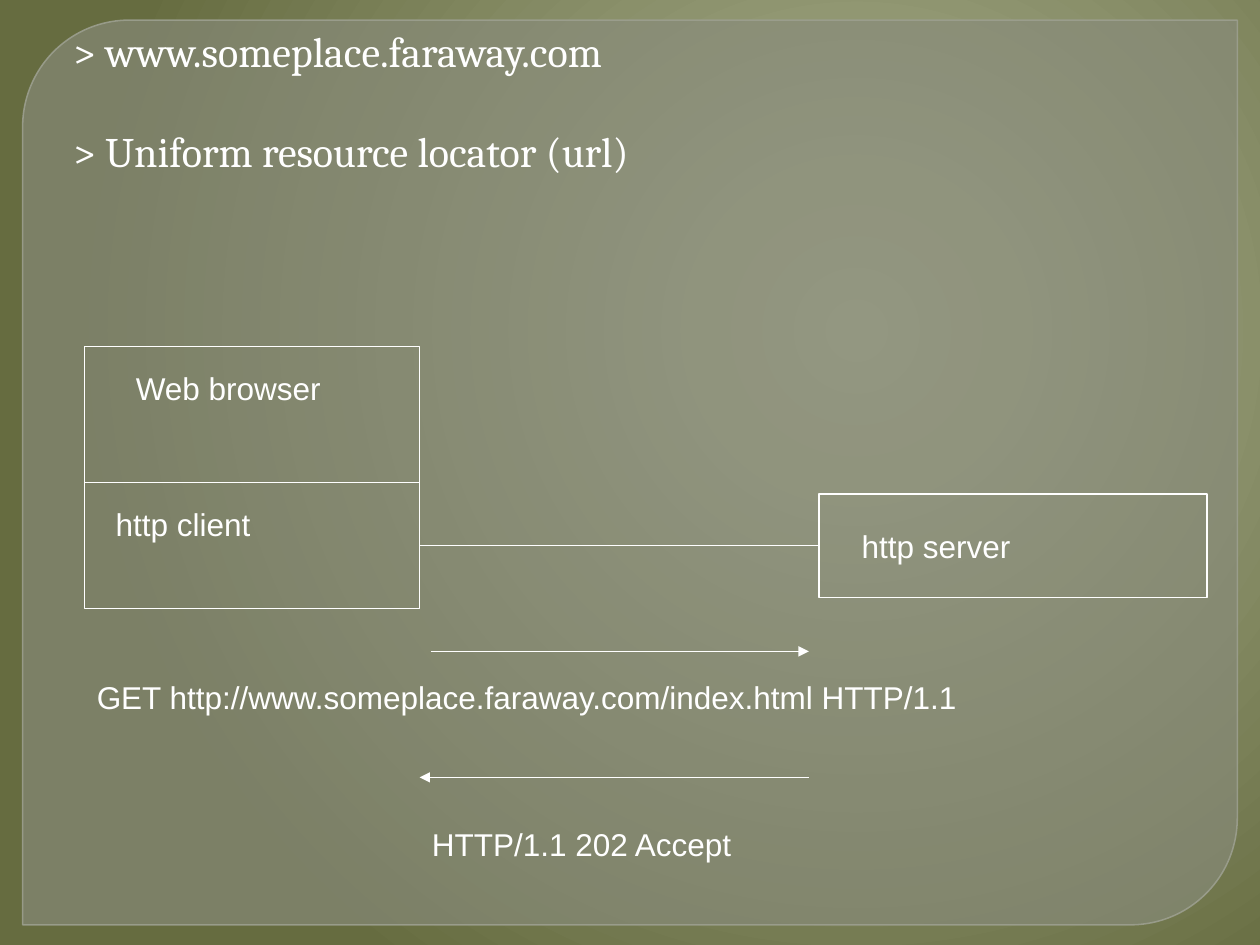
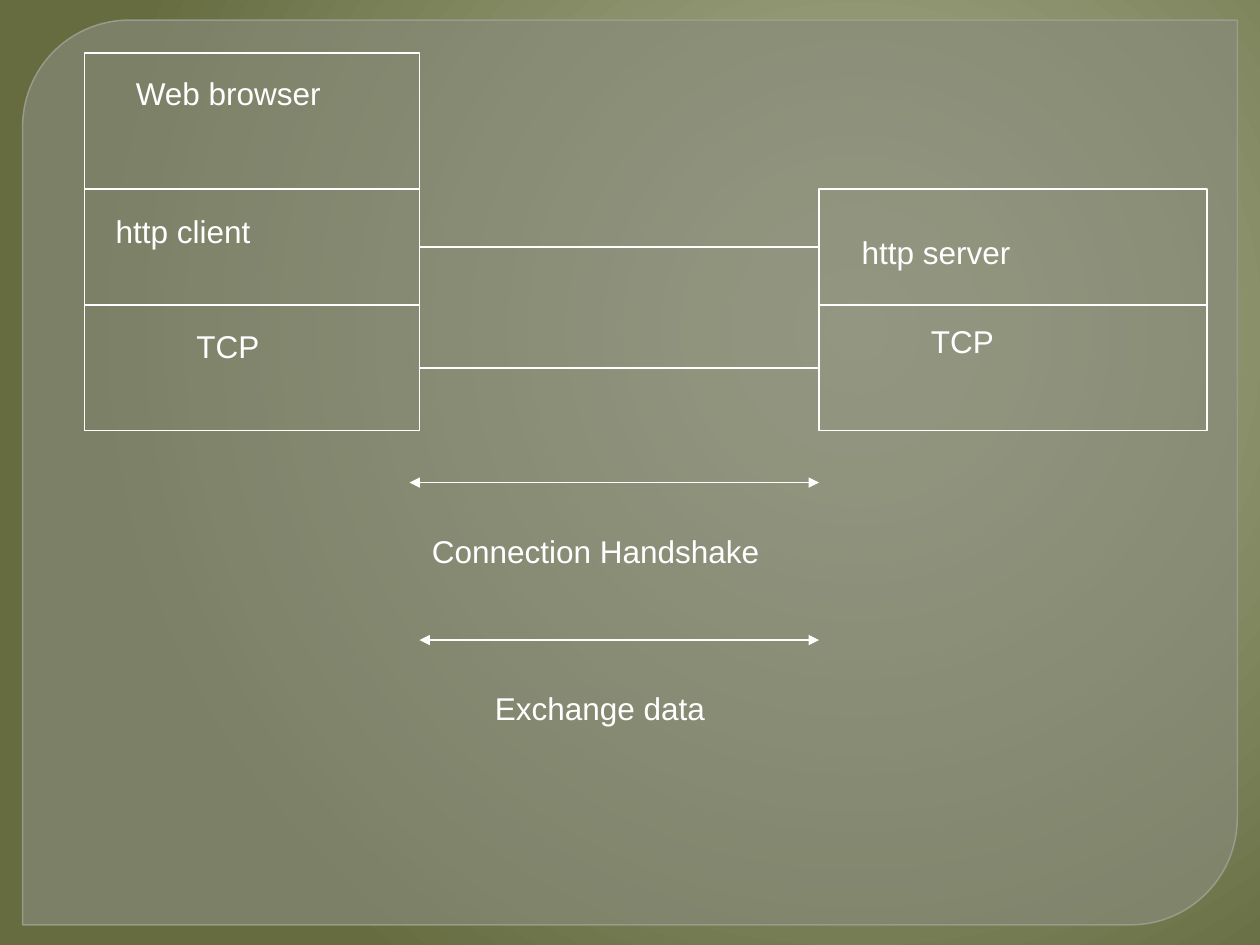
"""Build two slides on how a web browser reaches an HTTP server over TCP."""
import dataclasses

import lxml.etree
import pptx
import pptx.dml.color
import pptx.enum.shapes
import pptx.oxml
import pptx.oxml.ns
import pptx.util

Inches = pptx.util.Inches
Pt = pptx.util.Pt
Shapes = pptx.enum.shapes.MSO_SHAPE
Color = pptx.dml.color.RGBColor.from_string
qn = pptx.oxml.ns.qn


@dataclasses.dataclass(frozen=True)
class Theme:
    ink: str = "FFFFFF"
    panel: str = "888B7B"
    panel_edge: str = "9DA090"
    panel_alpha: int = 65
    edge_alpha: int = 88
    glow: tuple = ((0, "A9AE8D"), (20, "9FA583"), (100, "666C40"))
    thin: float = 0.75
    edge_width: float = 0.87
    heading: tuple = (("name", "Cambria"), ("size", Pt(24)))
    label: tuple = (("name", "Arial"), ("size", Pt(18)))
    heading_gap: float = 28.8


theme = Theme()


def add_text(page, lines, left, top, width, height=0.5, style=theme.label):
    box = page.shapes.add_textbox(Inches(left), Inches(top), Inches(width), Inches(height))
    box.text_frame.word_wrap = True
    box.text_frame.text = "\n".join(lines)
    for index, para in enumerate(box.text_frame.paragraphs):
        if index:
            para.space_before = Pt(theme.heading_gap)
        span = para.runs[0]
        for key, value in dict(style).items():
            setattr(span.font, key, value)
        span.font.color.rgb = Color(theme.ink)


def add_line(page, start, end, arrowheads=()):
    line = page.shapes.add_connector(
        pptx.enum.shapes.MSO_CONNECTOR.STRAIGHT, *map(Inches, (*start, *end)))
    line.line.color.rgb = Color(theme.ink)
    line.line.width = Pt(theme.thin)
    for arrowhead in arrowheads:
        lxml.etree.SubElement(line.get_or_add_ln(), qn(f"a:{arrowhead}"), type="triangle")
    lxml.etree.SubElement(line.element.spPr, qn("a:effectLst"))
    return line


browser_x, browser_width = 0.67, 2.66
server_x, server_width = 6.5, 3.08
browser_edge = browser_x + browser_width
both_ends = ("headEnd", "tailEnd")

slides = [
    {
        "heading": ["> www.someplace.faraway.com", "> Uniform resource locator (url)"],
        "browser_stack": [
            ("Web browser", 2.75, 1.08, 0.98, 2.88, 1.99),
            ("http client", 3.83, 1, 0.82, 3.96, 1.54),
        ],
        "server_stack": [("http server", 3.92, 0.82, 6.74, 4.13, 1.62)],
        "links": [("http client", "http server")],
        "arrows": [
            (3.42, 6.42, 5.17, ("tailEnd",)),
            (6.42, browser_edge, 6.17, ("tailEnd",)),
        ],
        "captions": [
            ("GET http://www.someplace.faraway.com/index.html HTTP/1.1", 0.67, 5.33, 9),
            ("HTTP/1.1 202 Accept", 3.33, 6.5, 3.15),
        ],
    },
    {
        "heading": [],
        "browser_stack": [
            ("Web browser", 0.42, 1.08, 0.98, 0.54, 1.99),
            ("http client", 1.5, 0.92, 0.82, 1.63, 1.54),
            ("TCP", 2.42, 1, 1.46, 2.55, 0.81),
        ],
        "server_stack": [
            ("http server", 1.5, 0.92, 6.74, 1.8, 1.62),
            ("TCP", 2.42, 1, 7.29, 2.51, 0.81),
        ],
        "links": [("http client", "http server"), ("TCP", "TCP")],
        "arrows": [
            (3.25, server_x, 3.83, both_ends),
            (browser_edge, server_x, 5.08, both_ends),
        ],
        "captions": [
            ("Connection Handshake", 3.33, 4.17, 3.3),
            ("Exchange data", 3.83, 5.42, 2.15),
        ],
    },
]

deck = pptx.Presentation()
deck.slide_width, deck.slide_height = Inches(10), Inches(7.5)

master = deck.slide_master
master.background.fill.gradient()
gradient = master.element.find(f".//{qn('p:bgPr')}/{qn('a:gradFill')}")
stops = "".join(
    f'<a:gs pos="{place * 1000}"><a:srgbClr val="{color}"/></a:gs>'
    for place, color in theme.glow)
gradient.getparent().replace(gradient, pptx.oxml.parse_xml(
    f'<a:gradFill {pptx.oxml.ns.nsdecls("a")} rotWithShape="1"><a:gsLst>{stops}</a:gsLst>'
    '<a:path path="circle"><a:fillToRect l="68000" t="35000" r="32000" b="65000"/></a:path>'
    '</a:gradFill>'))

for content in slides:
    page = deck.slides.add_slide(deck.slide_layouts[6])

    panel = page.shapes.add_shape(
        Shapes.ROUND_2_DIAG_RECTANGLE, Inches(0.18), Inches(0.16), Inches(9.64), Inches(7.18))
    panel.adjustments[0] = 0.118
    panel.shadow.inherit = False
    panel.fill.solid()
    panel.fill.fore_color.rgb = Color(theme.panel)
    panel.line.color.rgb = Color(theme.panel_edge)
    panel.line.width = Pt(theme.edge_width)
    alphas = (theme.panel_alpha, theme.edge_alpha)
    for color, alpha in zip(panel.element.spPr.iter(qn("a:srgbClr")), alphas):
        lxml.etree.SubElement(color, qn("a:alpha"), val=str(alpha * 1000))

    if content["heading"]:
        add_text(page, content["heading"], 0.48, 0.15, 4.8, 1.31, theme.heading)

    layers = {}
    for stack, left, width in (("browser_stack", browser_x, browser_width),
                               ("server_stack", server_x, server_width)):
        for name, top, height, label_left, label_top, label_width in content[stack]:
            layer = page.shapes.add_shape(
                Shapes.RECTANGLE, Inches(left), Inches(top), Inches(width), Inches(height))
            layer.shadow.inherit = False
            layer.fill.background()
            layer.line.color.rgb = Color(theme.ink)
            layer.line.width = Pt(theme.thin)
            layers[stack, name] = layer
            add_text(page, [name], label_left, label_top, label_width)

    for client, server in content["links"]:
        link = add_line(page, (0, 0), (1, 1))
        link.begin_connect(layers["browser_stack", client], 3)
        link.end_connect(layers["server_stack", server], 1)

    for start, end, height, arrowheads in content["arrows"]:
        add_line(page, (start, height), (end, height), arrowheads)

    for caption, left, top, width in content["captions"]:
        add_text(page, [caption], left, top, width)

deck.save("out.pptx")
